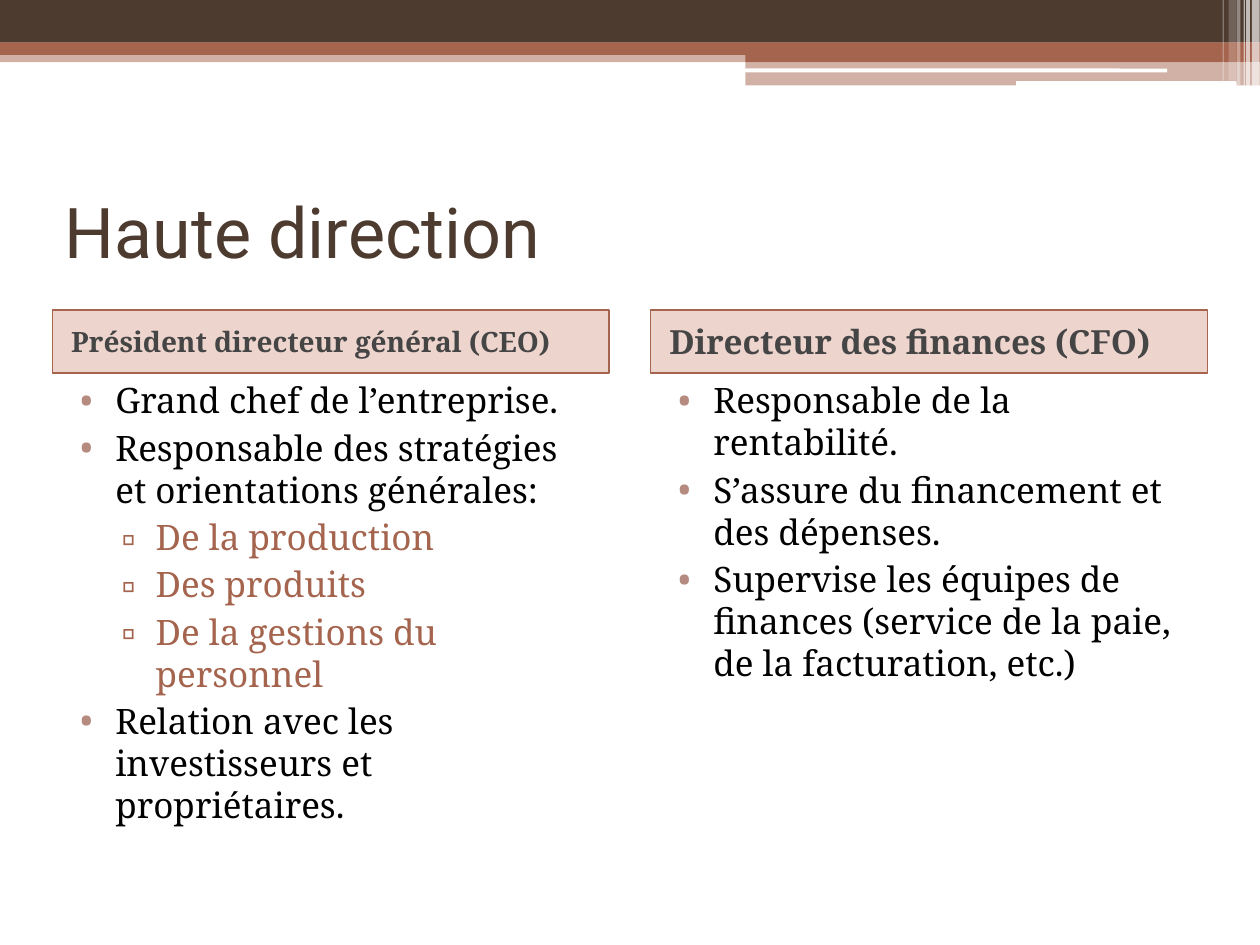
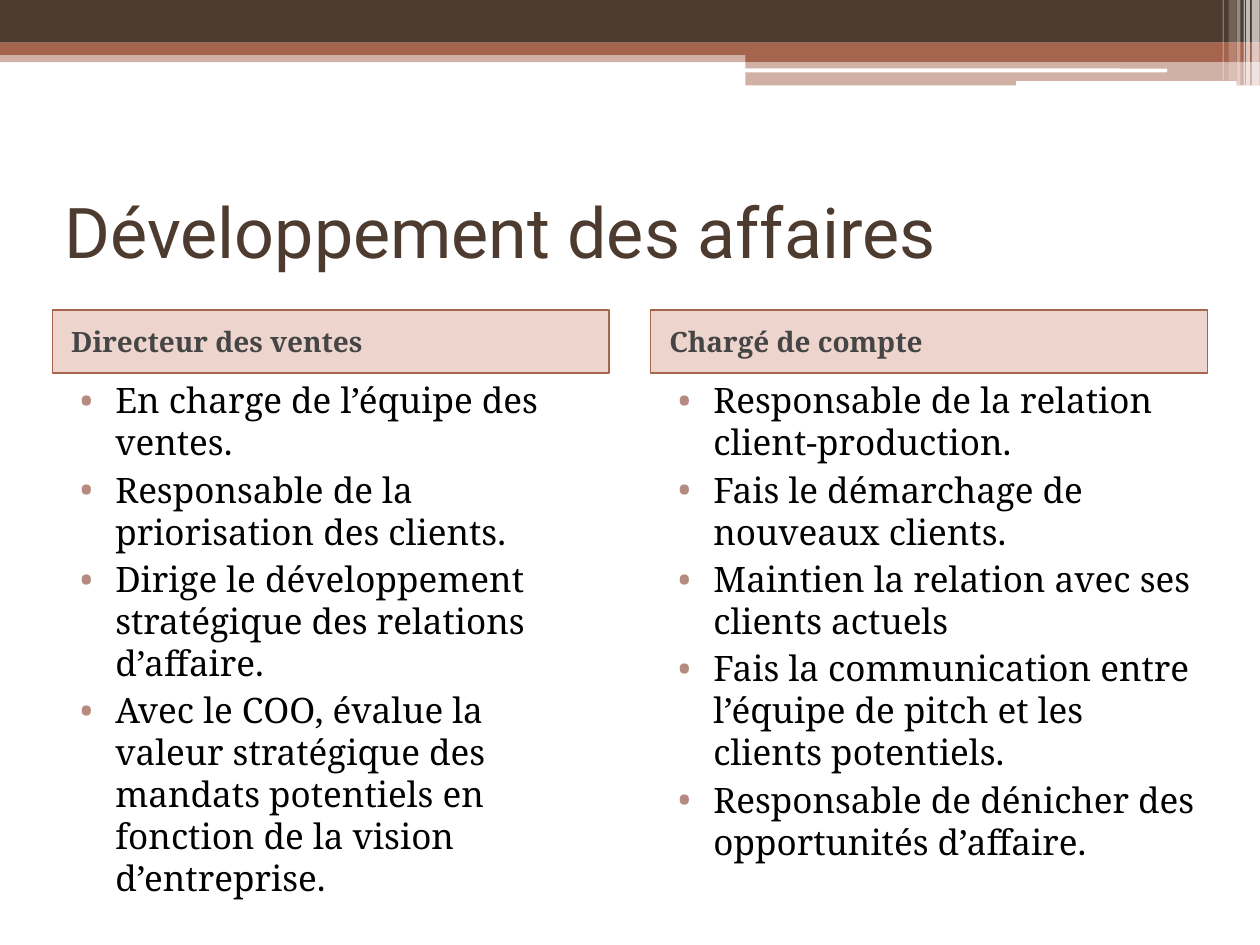
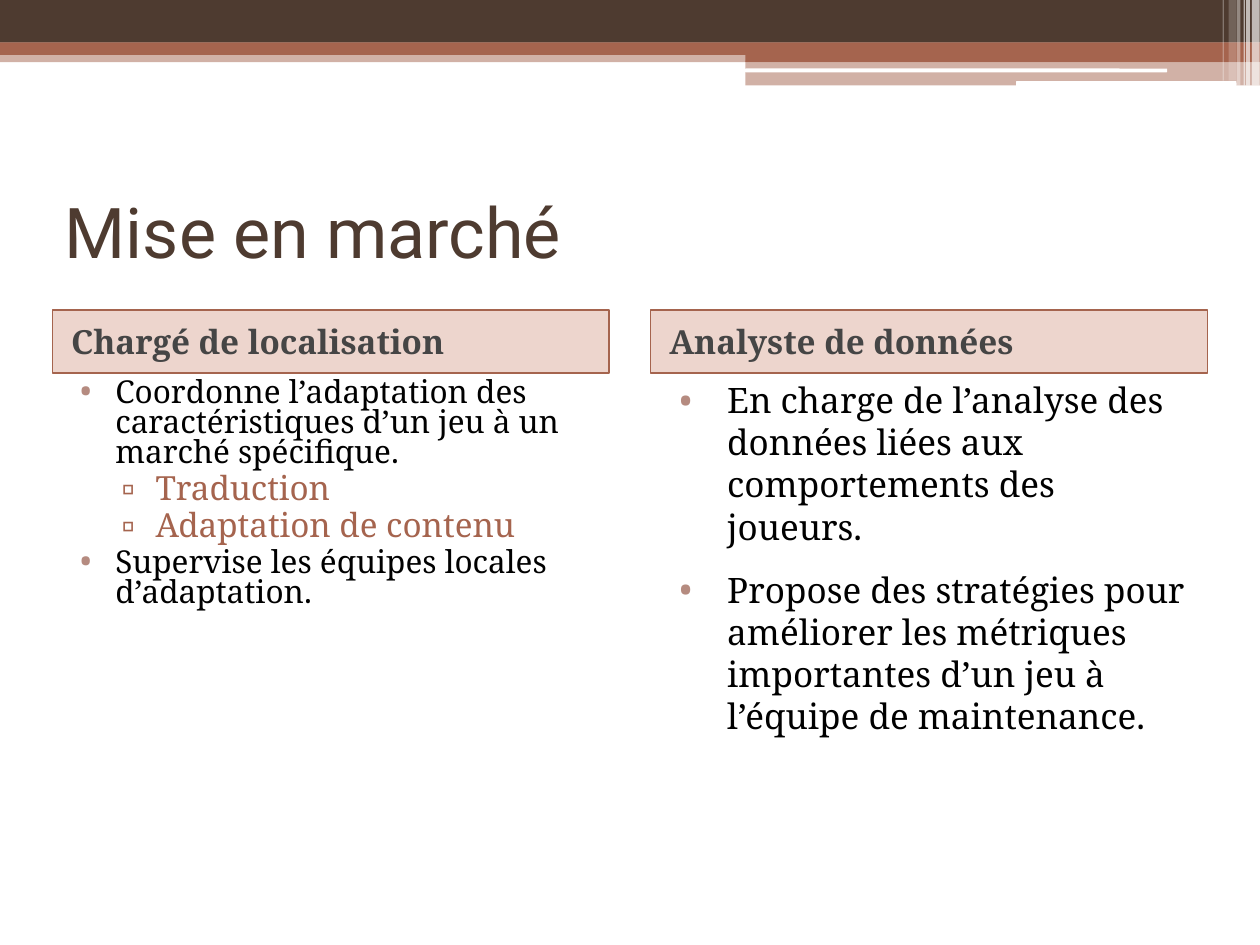
from dataclasses import dataclass

from lxml.etree import SubElement
from pptx import Presentation
from pptx.dml.color import RGBColor
from pptx.enum.shapes import MSO_SHAPE as Preset
from pptx.enum.text import MSO_ANCHOR as Anchor, PP_ALIGN as Align
from pptx.oxml.ns import qn
from pptx.util import Pt


@dataclass(frozen=True)
class Theme:
    """Colours, fonts and type sizes shared by the slides."""
    dark: str = "4E3B30"
    accent: str = "A5644E"
    header_fill: str = "BB5938"
    header_text: str = "454545"
    bullet: str = "B58B80"
    white: str = "FFFFFF"
    black: str = "000000"
    title_font: str = "Roboto"
    body_font: str = "Noto Serif"
    title_size: int = 40
    header_size: int = 19
    small_header_size: int = 16
    body_size: int = 20
    tight_size: int = 18
    tight_sub_size: int = 19


THEME = Theme()

# Each bullet is (level, text).
SLIDES = [
    {"title": "Haute direction", "columns": [
        {"header": "Président directeur général (CEO)",
         "header_size": THEME.small_header_size,
         "bullets": [
             (0, "Grand chef de l’entreprise."),
             (0, "Responsable des stratégies et orientations générales:"),
             (1, "De la production"),
             (1, "Des produits"),
             (1, "De la gestions du personnel"),
             (0, "Relation avec les investisseurs et propriétaires.")]},
        {"header": "Directeur des finances (CFO)",
         "bullets": [
             (0, "Responsable de la rentabilité."),
             (0, "S’assure du financement et des dépenses."),
             (0, "Supervise les équipes de finances (service de la paie, "
                 "de la facturation, etc.)")]},
    ]},
    {"title": "Développement des affaires", "columns": [
        {"header": "Directeur des ventes",
         "header_size": THEME.small_header_size,
         "bullets": [
             (0, "En charge de l’équipe des ventes."),
             (0, "Responsable de la priorisation des clients."),
             (0, "Dirige le développement stratégique des relations d’affaire."),
             (0, "Avec le COO, évalue la valeur stratégique des mandats "
                 "potentiels en fonction de la vision d’entreprise.")]},
        {"header": "Chargé de compte",
         "header_size": THEME.small_header_size,
         "bullets": [
             (0, "Responsable de la relation client-production."),
             (0, "Fais le démarchage de nouveaux clients."),
             (0, "Maintien la relation avec ses clients actuels"),
             (0, "Fais la communication entre l’équipe de pitch et les "
                 "clients potentiels."),
             (0, "Responsable de dénicher des opportunités d’affaire.")]},
    ]},
    {"title": "Mise en marché", "columns": [
        {"header": "Chargé de localisation",
         "sizes": (THEME.tight_size, THEME.tight_sub_size),
         "line_spacing": 0.8,
         "bullets": [
             (0, "Coordonne l’adaptation des caractéristiques d’un jeu à un "
                 "marché spécifique."),
             (1, "Traduction"),
             (1, "Adaptation de contenu"),
             (0, "Supervise les équipes locales d’adaptation.")]},
        {"header": "Analyste de données",
         "space_before": 12,
         "indent": (36.72, -27.36),
         "bullets": [
             (0, "En charge de l’analyse des données liées aux comportements "
                 "des joueurs."),
             (0, "Propose des stratégies pour améliorer les métriques "
                 "importantes d’un jeu à l’équipe de maintenance.")]},
    ]},
]

# Page grid, in points
PAGE_W, PAGE_H = 720, 540
MARGIN = 30
TITLE_TOP, TITLE_H = 90, 84
HEADER_TOP, HEADER_H = 177, 36
BODY_TOP, BODY_H = HEADER_TOP + HEADER_H, 306
COLUMN_W = 318.24
COLUMN_LEFTS = (MARGIN, PAGE_W - MARGIN - COLUMN_W)
STEP_LEFT = 426
STEP_W = PAGE_W - STEP_LEFT

# Bullet levels: (left margin, first line indent), mark, mark colour, text colour
LEVELS = [
    ((28.8, -20.16), "•", THEME.bullet, THEME.black),
    ((51.84, -19.44), "▫", THEME.accent, THEME.accent),
]

# Top decoration: box, colour, opacity in percent
BANDS = [
    ((0, 28.88, PAGE_W, 6.65), THEME.accent, 50),
    ((0, 0, PAGE_W, 24.4), THEME.dark, 100),
    ((0, 24.27, PAGE_W, 7.2), THEME.accent, 100),
    ((STEP_LEFT, 28.37, STEP_W, 7.1), THEME.accent, 100),
    ((STEP_LEFT, 34.65, STEP_W, 14.18), THEME.accent, 50),
]
WHITE_BARS = [(425.78, 39.17, 241.2, 2.16), (580.6, 46.37, 126, 2.88)]
# Vertical stripes: left, width, height, opacity in percent
STRIPES = [
    (715.35, 4.54, 48.96, 65),
    (712.16, 2.16, 48.96, 65),
    (710.66, 0.72, 48.96, 60),
    (706.73, 2.16, 48.96, 40),
    (702.02, 4.32, 46.08, 20),
    (698.7, 0.72, 46.08, 30),
]


def add_block(slide, box, color, opacity=100, preset=Preset.RECTANGLE,
              outline=None):
    """Add a filled preset shape, with an outline if a colour is given."""
    block = slide.shapes.add_shape(preset, *map(Pt, box))
    block.shadow.inherit = False
    block.fill.solid()
    block.fill.fore_color.rgb = RGBColor.from_string(color)
    if opacity < 100:
        color_tag = block.fill._xPr.find(qn("a:solidFill"))[0]
        SubElement(color_tag, qn("a:alpha"), val=str(opacity * 1000))
    if outline:
        block.line.color.rgb = RGBColor.from_string(outline)
        block.line.width = Pt(1)
    else:
        block.line.fill.background()
    return block


def add_frame(slide, box):
    """Add an empty text box and return its text frame."""
    return slide.shapes.add_textbox(*map(Pt, box)).text_frame


def write(frame, text, size, color, font=THEME.body_font, bold=False,
          anchor=Anchor.TOP, level=0, indent=(0, 0), space_before=0,
          line_spacing=None, mark=None, mark_color=None):
    """Write one formatted paragraph into a text frame."""
    frame.word_wrap = True
    frame.vertical_anchor = anchor
    paragraph = frame.paragraphs[0]
    if paragraph.runs:
        paragraph = frame.add_paragraph()
    paragraph.alignment = Align.LEFT
    paragraph.level = level
    paragraph.space_before = Pt(space_before)
    paragraph.line_spacing = line_spacing
    properties = paragraph._p.get_or_add_pPr()
    properties.set("marL", str(Pt(indent[0])))
    properties.set("indent", str(Pt(indent[1])))
    if mark:
        mark_fill = SubElement(properties, qn("a:buClr"))
        SubElement(mark_fill, qn("a:srgbClr"), val=mark_color)
        SubElement(properties, qn("a:buFont"), typeface=font)
        SubElement(properties, qn("a:buChar"), char=mark)
    run = paragraph.add_run()
    run.text = text
    run.font.name = font
    run.font.size = Pt(size)
    run.font.bold = bold
    run.font.color.rgb = RGBColor.from_string(color)


def add_decoration(slide):
    """Draw the bands, white bars and stripes along the top edge."""
    for box, color, opacity in BANDS:
        add_block(slide, box, color, opacity)
    for box in WHITE_BARS:
        add_block(slide, box, THEME.white, preset=Preset.ROUNDED_RECTANGLE)
    for left, width, height, opacity in STRIPES:
        add_block(slide, (left, 0, width, height), THEME.white, opacity)


def add_header(slide, left, column):
    """Draw the tinted header of one column."""
    header = add_block(slide, (left, HEADER_TOP, COLUMN_W, HEADER_H),
                       THEME.header_fill, 25, outline=THEME.accent)
    write(header.text_frame, column["header"],
          column.get("header_size", THEME.header_size), THEME.header_text,
          bold=True, anchor=Anchor.MIDDLE, indent=(3.6, 0), space_before=3)


def add_bullets(slide, left, column):
    """Write the bullet list of one column."""
    body = add_frame(slide, (left, BODY_TOP, COLUMN_W, BODY_H))
    sizes = column.get("sizes", (THEME.body_size, THEME.body_size))
    for level, text in column["bullets"]:
        indent, mark, mark_color, color = LEVELS[level]
        write(body, text, sizes[level], color, level=level,
              indent=column.get("indent", indent),
              space_before=column.get("space_before", 3),
              line_spacing=column.get("line_spacing"),
              mark=mark, mark_color=mark_color)


def build_slide(deck, content):
    """Build one slide: decoration, title and two columns."""
    slide = deck.slides.add_slide(deck.slide_layouts[6])
    add_decoration(slide)
    title = add_frame(slide, (MARGIN, TITLE_TOP, PAGE_W - 2 * MARGIN, TITLE_H))
    write(title, content["title"], THEME.title_size, THEME.dark,
          font=THEME.title_font, anchor=Anchor.MIDDLE)
    columns = list(zip(COLUMN_LEFTS, content["columns"]))
    for add_part in (add_header, add_bullets):
        for left, column in columns:
            add_part(slide, left, column)


deck = Presentation()
deck.slide_width, deck.slide_height = Pt(PAGE_W), Pt(PAGE_H)
for content in SLIDES:
    build_slide(deck, content)
deck.save("out.pptx")
